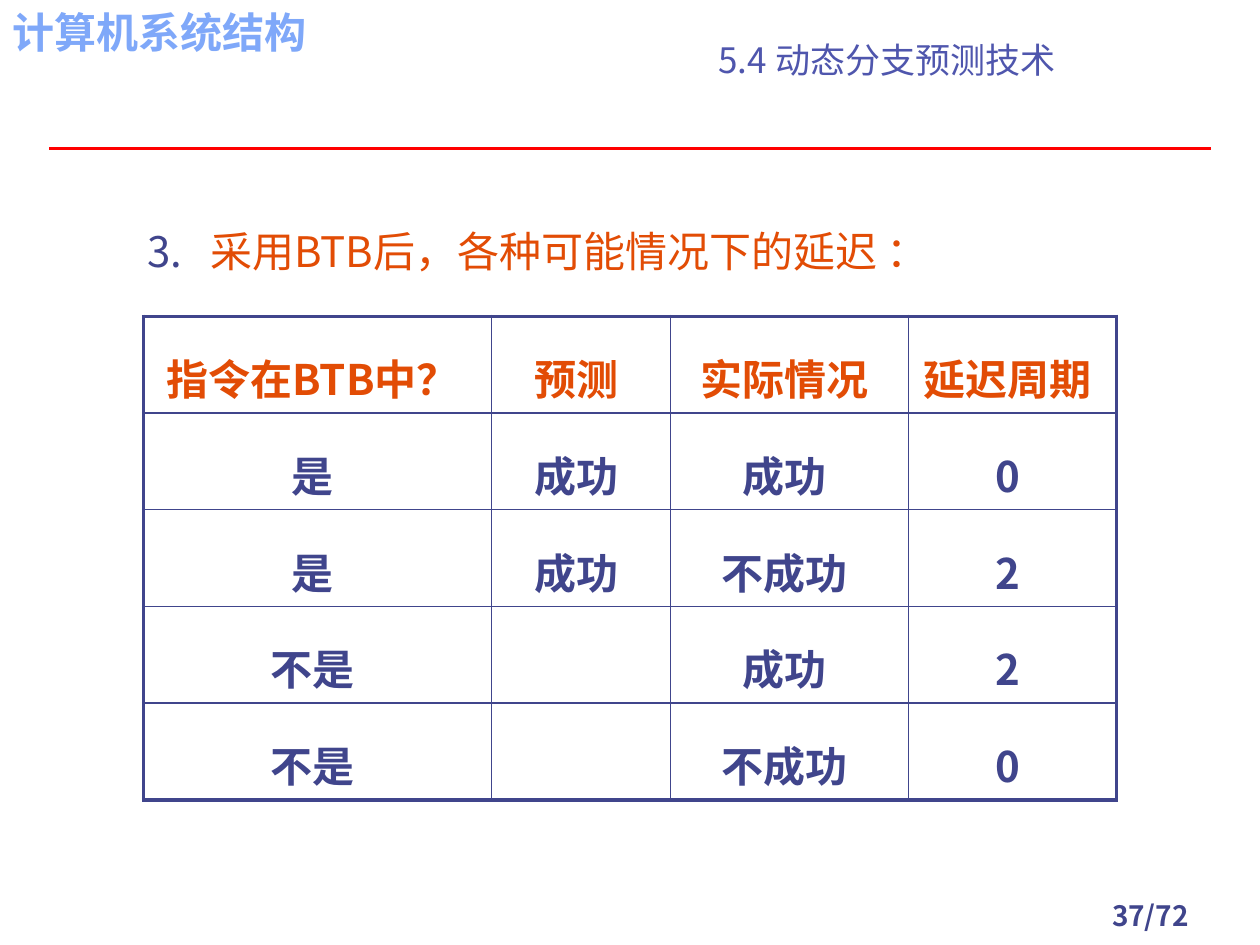
from dataclasses import dataclass

from lxml import etree
from pptx import Presentation
from pptx import util as u
from pptx.dml.color import RGBColor
from pptx.enum import shapes, text
from pptx.oxml import ns


@dataclass(frozen=True)
class Theme:
    """Colours, font and type sizes of the deck."""
    font: str = "Noto Sans CJK SC"
    ink: str = "40458C"
    title: str = "4F56AD"
    accent: str = "E24C05"
    course: str = "7FA8F9"
    rule: str = "FF0000"
    small: int = 16
    medium: int = 20
    large: int = 24
    thin: float = 1
    thick: float = 2.25


def add_xml(parent, tag, **attrs):
    """Append a DrawingML element and return it."""
    return etree.SubElement(parent, ns.qn(tag), {k: str(v) for k, v in attrs.items()})


def write(tf, content, font, size, color, bold=False, align=text.PP_ALIGN.LEFT,
          spacing=None, before=None):
    """Write one formatted paragraph into a text frame and return it."""
    p = tf.paragraphs[0]
    p.alignment, p.line_spacing = align, spacing
    if before is not None:
        p.space_before = u.Pt(before)
    r = p.add_run()
    r.text = content
    f = r.font
    f.name, f.size, f.bold = font, u.Pt(size), bold
    f.color.rgb = RGBColor.from_string(color)
    add_xml(r._r.get_or_add_rPr(), "a:ea", typeface=font)
    return p


class SlideBuilder:
    """Places styled elements on a slide by a grid of 100 columns and 75 rows."""

    def __init__(self, prs, theme):
        self.theme = theme
        self.s = prs.slides.add_slide(prs.slide_layouts[6])
        self.col, self.row = prs.slide_width / 100, prs.slide_height / 75

    def place(self, x, y, w, h):
        """Turn grid columns and rows into lengths."""
        return [u.Emu(round(n * unit)) for n, unit in
                zip((x, y, w, h), (self.col, self.row) * 2)]

    def text(self, box, content, anchor=text.MSO_ANCHOR.TOP, **fmt):
        """Add a wrapping text box and return its paragraph."""
        tf = self.s.shapes.add_textbox(*self.place(*box)).text_frame
        tf.word_wrap, tf.vertical_anchor = True, anchor
        return write(tf, content, self.theme.font, **fmt)

    def numbered(self, box, content, start, **fmt):
        """Add a text box with a numbered paragraph."""
        pPr = self.text(box, content, **fmt)._p.get_or_add_pPr()
        indent = u.Inches(0.5)
        pPr.set("marL", str(indent))
        pPr.set("indent", str(-indent))
        add_xml(add_xml(pPr, "a:buClr"), "a:srgbClr", val=self.theme.ink)
        add_xml(pPr, "a:buFont", typeface=self.theme.font)
        add_xml(pPr, "a:buAutoNum", type="arabicPeriod", startAt=start)

    def rule(self, x1, x2, y, width):
        """Add a horizontal line."""
        line = self.s.shapes.add_connector(
            shapes.MSO_CONNECTOR.STRAIGHT, *self.place(x1, y, x2, y))
        line.line.color.rgb = RGBColor.from_string(self.theme.rule)
        line.line.width = u.Pt(width)
        add_xml(line._element.spPr, "a:effectLst")

    def border(self, cell, edges):
        """Draw the four cell borders, thick where the edge is outer."""
        tcPr = cell._tc.get_or_add_tcPr()
        for side, outer in edges.items():
            width = self.theme.thick if outer else self.theme.thin
            ln = add_xml(tcPr, f"a:ln{side}", w=u.Pt(width))
            add_xml(add_xml(ln, "a:solidFill"), "a:srgbClr", val=self.theme.ink)

    def table(self, x, y, widths, height, rows):
        """Add a ruled table with an accented header row."""
        t = self.theme
        last_row, last_col = len(rows) - 1, len(widths) - 1
        table = self.s.shapes.add_table(
            len(rows), len(widths),
            *self.place(x, y, sum(widths), height * len(rows))).table
        table.first_row = table.horz_banding = False
        for column, width in zip(table.columns, widths):
            column.width = round(width * self.col)
        for i, values in enumerate(rows):
            for j, value in enumerate(values):
                cell = table.cell(i, j)
                self.border(cell, {"L": j == 0, "R": j == last_col,
                                   "T": i == 0, "B": i == last_row})
                cell.fill.background()
                if value:
                    write(cell.text_frame, f"{value} ", t.font, t.large,
                          t.ink if i else t.accent, bold=True,
                          align=text.PP_ALIGN.CENTER, spacing=1.4, before=4.8)


def main():
    """Build the branch prediction slide."""
    prs = Presentation()
    prs.slide_width, prs.slide_height = u.Inches(10), u.Inches(7.5)
    t = Theme()
    s = SlideBuilder(prs, t)
    center = text.PP_ALIGN.CENTER
    s.text((84.2, 70.8, 14.2, 3.3), "37/72", size=t.small, color=t.ink,
           bold=True, align=center)
    s.rule(3.9, 96.1, 11.8, 2)
    s.text((0, 0, 28.3, 5.4), "计算机系统结构", size=t.large, color=t.course, bold=True)
    s.text((42.5, 2.7, 55.8, 4.2), "5.4 动态分支预测技术", size=t.medium,
           color=t.title, align=center, anchor=text.MSO_ANCHOR.BOTTOM)
    s.numbered((10.7, 16.2, 86.6, 9.2), "采用BTB后，各种可能情况下的延迟 ：", start=3,
               size=t.large, color=t.accent, spacing=1.3, before=4.8)
    s.table(11.4, 25.1, (27.6, 14.2, 18.9, 16.5), 7.68, [
        ("指令在BTB中？", "预测", "实际情况", "延迟周期"),
        ("是", "成功", "成功", "0"),
        ("是", "成功", "不成功", "2"),
        ("不是", "", "成功", "2"),
        ("不是", "", "不成功", "0"),
    ])
    prs.save("out.pptx")


if __name__ == "__main__":
    main()
